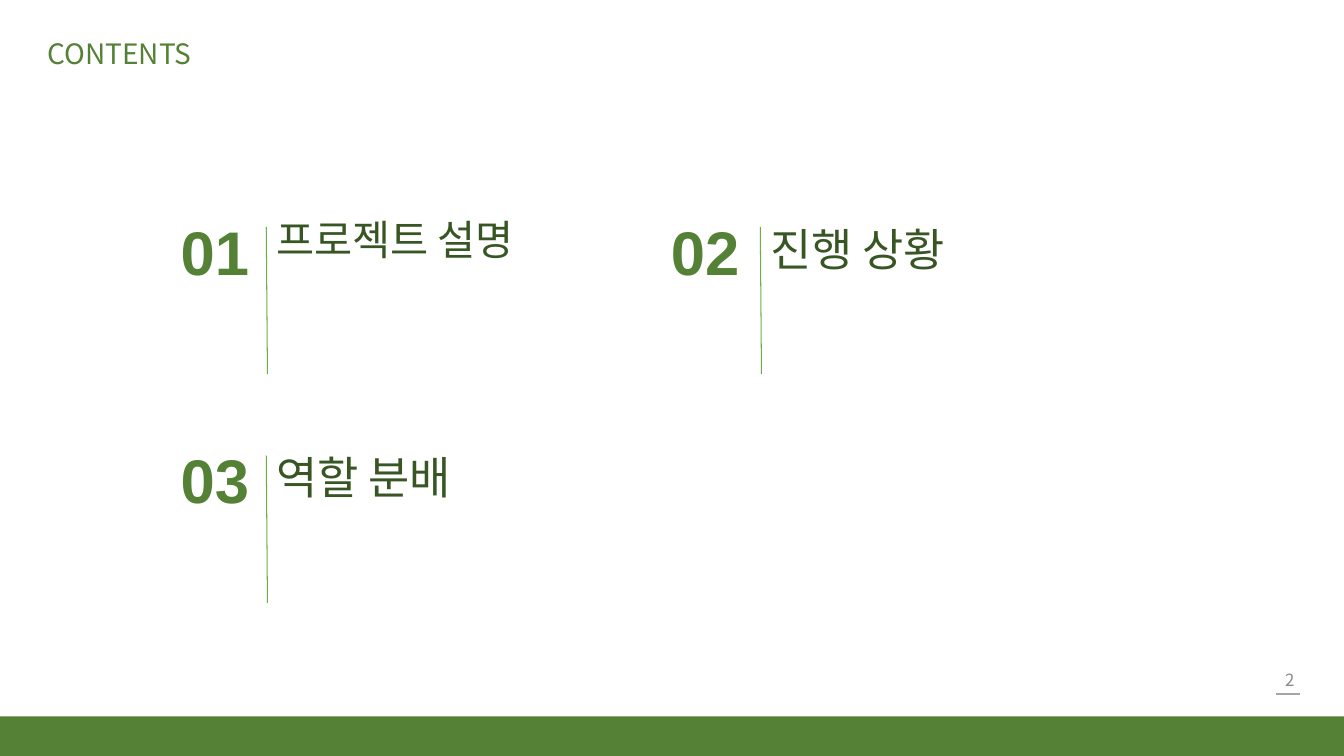
from dataclasses import dataclass

from lxml.etree import SubElement
from pptx import Presentation
from pptx.dml.color import RGBColor
from pptx.enum.shapes import MSO_CONNECTOR as Connector, MSO_SHAPE as Shape
from pptx.enum.text import MSO_ANCHOR as Anchor, MSO_AUTO_SIZE as AutoSize, PP_ALIGN as Align
from pptx.oxml.ns import qn
from pptx.util import Cm, Pt

# Content: number, label, label size, label line spacing
TITLE = "CONTENTS"
PAGE_NUMBER = "2"
SECTIONS = [
    ("01", "프로젝트 설명", 29.6, 0.7),
    ("02", "진행 상황", 32, 0.9),
    ("03", "역할 분배", 32, 0.9),
]


@dataclass(frozen=True)
class Theme:
    green: str = "548135"
    dark: str = "385623"
    light: str = "70AD47"
    grey: str = "888888"
    rule: str = "A5A5A5"
    latin: str = "Arial"
    korean: str = "Noto Sans CJK KR"
    title_size: float = 20
    number_size: float = 44
    page_size: float = 12


theme = Theme()

# Grid in centimetres: each column holds a number and a divider
COLUMNS = [(4.3, 6.71), (16.66, 19.16)]
FIRST_ROW, ROW_STEP = 5.72, 5.76
DIVIDER_HEIGHT, DIVIDER_SLANT = 3.71, 0.03
WIDTH, HEIGHT, BAR_HEIGHT = 33.87, 19.05, 1.0


def write(box, text, size, color, font, anchor=Anchor.MIDDLE,
          align=Align.LEFT, spacing=0.9, bold=False):
    frame = box.text_frame
    frame.text = text
    frame.word_wrap = True
    frame.auto_size = AutoSize.NONE
    frame.vertical_anchor = anchor
    para = frame.paragraphs[0]
    para.alignment = align
    para.line_spacing = spacing
    span = para.runs[0]
    span.font.name = font
    span.font.size = Pt(size)
    span.font.bold = bold
    span.font.color.rgb = RGBColor.from_string(color)
    east_asian = SubElement(span.font._element, qn("a:ea"))
    east_asian.set("typeface", theme.korean)


def add_text(page, left, top, width, height, *args, **kwargs):
    box = page.shapes.add_textbox(Cm(left), Cm(top), Cm(width), Cm(height))
    write(box, *args, **kwargs)


def add_line(page, x1, y1, x2, y2, color, weight):
    line = page.shapes.add_connector(Connector.STRAIGHT, Cm(x1), Cm(y1), Cm(x2), Cm(y2))
    line.line.color.rgb = RGBColor.from_string(color)
    line.line.width = Pt(weight)
    SubElement(line._element.spPr, qn("a:effectLst"))


def add_footer(page):
    bar = page.shapes.add_shape(Shape.RECTANGLE, 0, Cm(HEIGHT - BAR_HEIGHT),
                                Cm(WIDTH), Cm(BAR_HEIGHT))
    bar.shadow.inherit = False
    bar.fill.solid()
    bar.fill.fore_color.rgb = RGBColor.from_string(theme.green)
    bar.line.fill.background()
    add_text(page, 25.25, 16.61, 7.62, 1.02, PAGE_NUMBER, theme.page_size,
             theme.grey, theme.korean, align=Align.RIGHT, spacing=1.0)
    add_line(page, 32.16, 17.48, 32.75, 17.48, theme.rule, 1.5)


def add_section(page, index, number, label, size, spacing):
    row, column = divmod(index, len(COLUMNS))
    number_left, divider = COLUMNS[column]
    top = FIRST_ROW + row * ROW_STEP
    add_text(page, number_left, top + 0.2, 9.78, 1.02, number, theme.number_size,
             theme.green, theme.latin, bold=True)
    add_text(page, divider, top - 0.11, 8.0, 2.22, label, size, theme.dark,
             theme.latin, anchor=Anchor.TOP, spacing=spacing)
    add_line(page, divider, top, divider + DIVIDER_SLANT, top + DIVIDER_HEIGHT,
             theme.light, 0.75)


def main():
    deck = Presentation()
    deck.slide_width, deck.slide_height = Cm(WIDTH), Cm(HEIGHT)
    page = deck.slides.add_slide(deck.slide_layouts[5])

    # Footer bar and page number
    add_footer(page)

    # Title
    title = page.shapes.title
    title.left, title.top, title.width, title.height = Cm(0.94), Cm(0.89), Cm(9.78), Cm(1.02)
    write(title, TITLE, theme.title_size, theme.green, theme.korean)

    # Sections, filled row by row
    for index, section in enumerate(SECTIONS):
        add_section(page, index, *section)

    deck.save("out.pptx")


if __name__ == "__main__":
    main()
